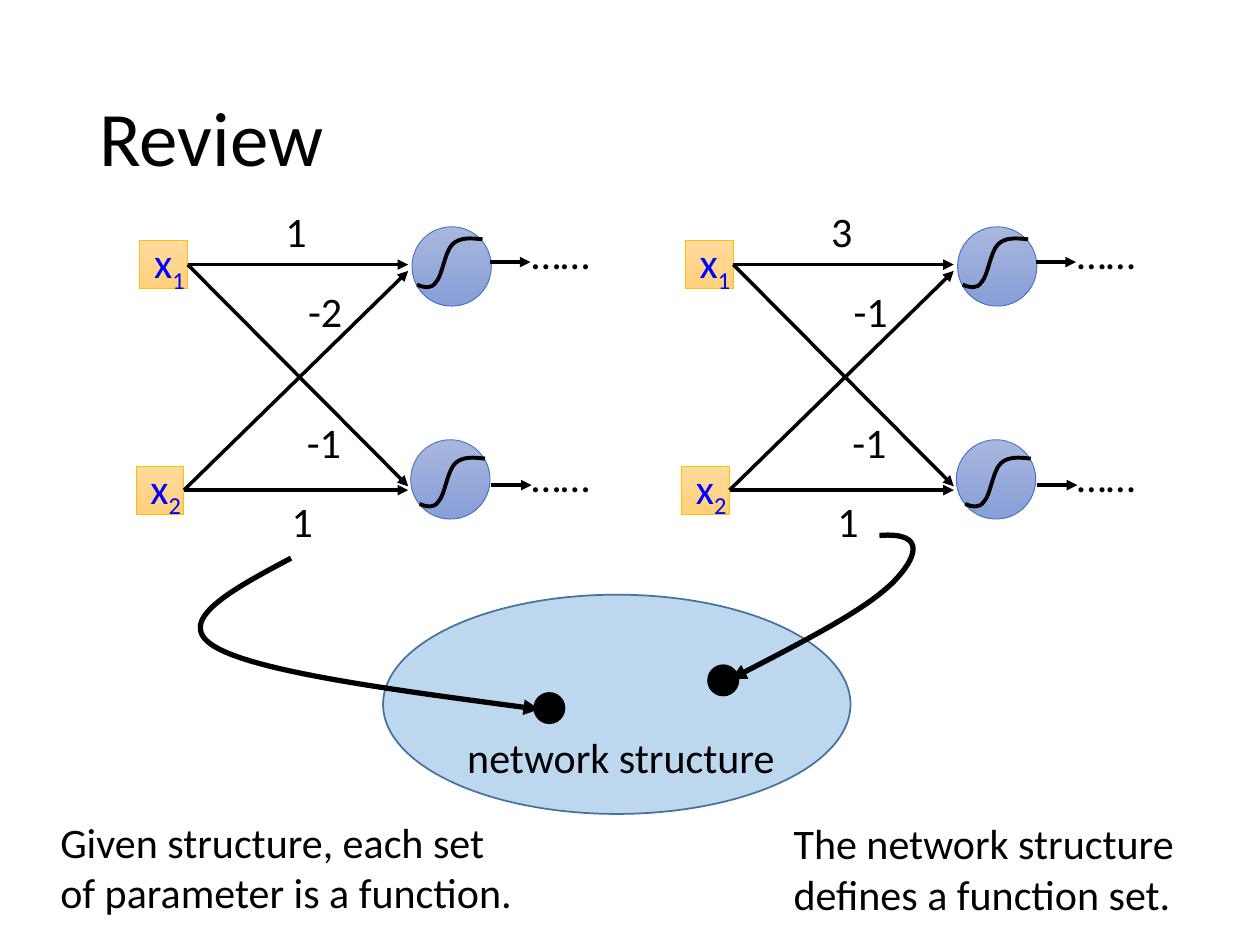
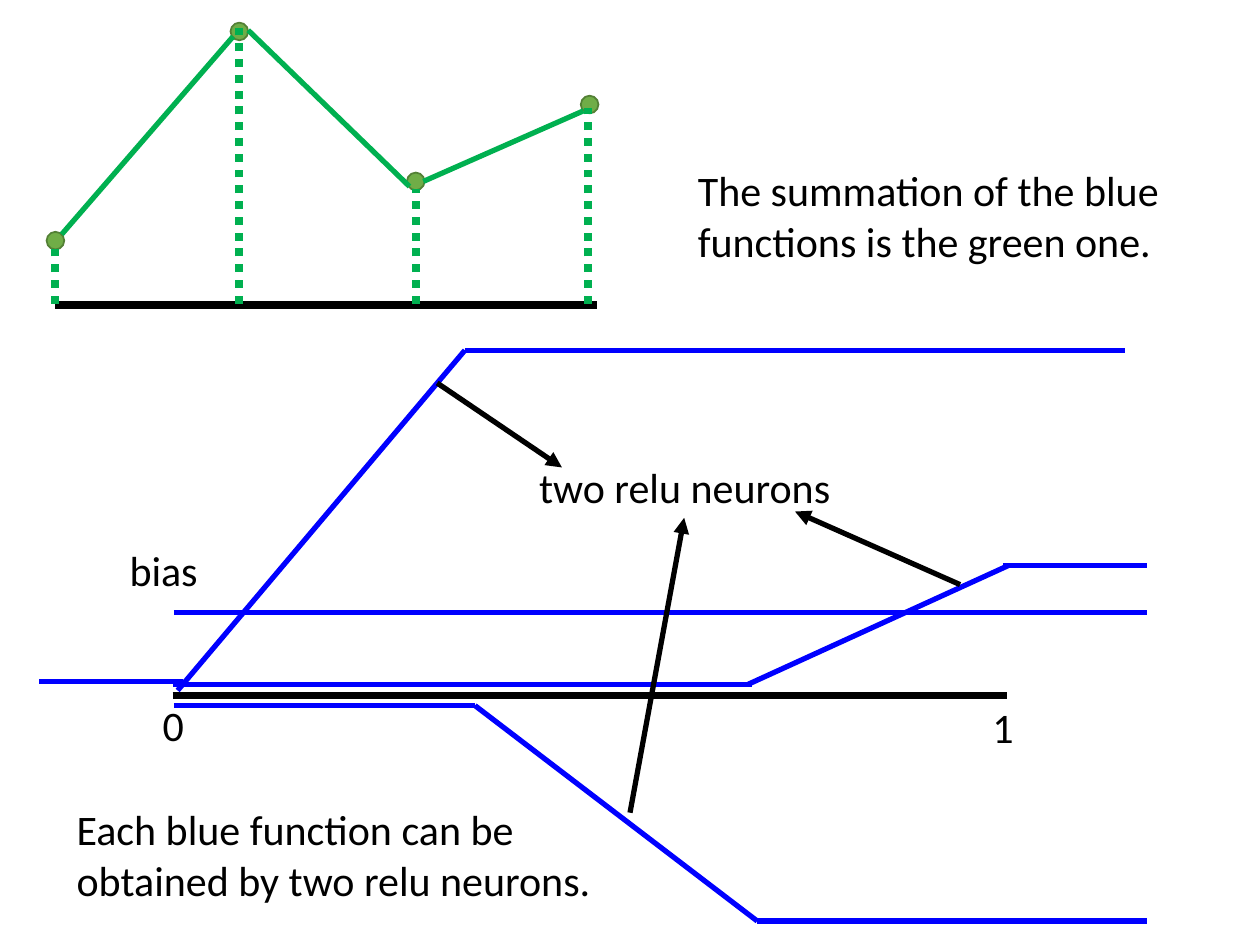
from pptx import Presentation
from pptx.dml.color import RGBColor
from pptx.enum.dml import MSO_LINE
from pptx.enum.shapes import MSO_CONNECTOR, MSO_SHAPE
from pptx.enum.text import MSO_ANCHOR, MSO_AUTO_SIZE, PP_ALIGN
from pptx.oxml.ns import qn
from pptx.util import Inches, Pt
from lxml.etree import SubElement

FONT = "Calibri"
BLACK = RGBColor(0x00, 0x00, 0x00)
BLUE = RGBColor(0x00, 0x00, 0xFF)
GREEN = RGBColor(0x00, 0xB0, 0x50)
DOT_FILL = RGBColor(0x70, 0xAD, 0x47)
DOT_LINE = RGBColor(0x53, 0x80, 0x35)
SET_FILL = RGBColor(0xBD, 0xD7, 0xEE)
SET_LINE = RGBColor(0x43, 0x73, 0x9E)
NEURON_FILL = (RGBColor(0xA8, 0xB7, 0xDF), RGBColor(0x88, 0x9E, 0xD7))
NEURON_LINE = RGBColor(0x44, 0x72, 0xC4)
INPUT_FILL = (RGBColor(0xFF, 0xDB, 0x9E), RGBColor(0xFF, 0xD0, 0x7C))
INPUT_LINE = RGBColor(0xFF, 0xC0, 0x00)
SIGMOID = [(0.52, 0.01), (0.43, 0), (0.34, -0.01), (0.28, 0.05), (0.22, 0.11),
           (0.2, 0.3), (0.15, 0.35), (0.11, 0.41), (0.05, 0.39), (0, 0.37)]


def add_text(shapes, box, text, size=24, color=BLACK, align=PP_ALIGN.LEFT, subscript=""):
    """Add a text box with one paragraph and an optional subscript."""
    shape = shapes.add_textbox(*map(Inches, box))
    text_frame = shape.text_frame
    text_frame.word_wrap = True
    text_frame.auto_size = MSO_AUTO_SIZE.SHAPE_TO_FIT_TEXT
    text_frame.text = text
    paragraph = text_frame.paragraphs[0]
    paragraph.alignment = align
    if subscript:
        run = paragraph.add_run()
        run.text = subscript
        run._r.get_or_add_rPr().set("baseline", "-25000")
    for run in paragraph.runs:
        run.font.name = FONT
        run.font.size = Pt(size)
        run.font.color.rgb = color
    return shape


def add_title(slide, text):
    """Add the slide title."""
    shape = add_text(slide.shapes, (0.69, 0.4, 8.62, 1.45), text, size=44)
    shape.text_frame.auto_size = MSO_AUTO_SIZE.NONE
    shape.text_frame.vertical_anchor = MSO_ANCHOR.MIDDLE
    shape.text_frame.paragraphs[0].line_spacing = 0.9


def add_filled(shapes, kind, box, fill, line_color, line_width=1):
    """Add a preset shape with a plain fill or a vertical gradient pair."""
    shape = shapes.add_shape(kind, *map(Inches, box))
    shape.shadow.inherit = False
    if isinstance(fill, RGBColor):
        shape.fill.solid()
        shape.fill.fore_color.rgb = fill
    else:
        shape.fill.gradient()
        shape.fill.gradient_angle = 270
        for stop, color in zip(shape.fill.gradient_stops, fill):
            stop.color.rgb = color
    shape.line.color.rgb = line_color
    shape.line.width = Pt(line_width)
    return shape


def style_line(line, color, width, arrow):
    """Set colour and width of a line, with an arrowhead if wanted."""
    line.color.rgb = color
    line.width = Pt(width)
    if arrow:
        SubElement(line._get_or_add_ln(), qn("a:tailEnd"), type="triangle")


def add_line(shapes, start, end, color=BLACK, width=3, arrow=False, dashed=False, source=None):
    """Add a straight connector, joined to the right side of a source shape if given."""
    connector = shapes.add_connector(MSO_CONNECTOR.STRAIGHT, *map(Inches, (*start, *end)))
    if source is not None:
        connector.begin_connect(source, 3)
    if dashed:
        connector.line.dash_style = MSO_LINE.ROUND_DOT
    style_line(connector.line, color, width, arrow)
    SubElement(connector._element.spPr, qn("a:effectLst"))


def add_curve(shapes, points, width, arrow=False):
    """Add an open curve from a start point and triples of cubic control points."""
    corners = [(Inches(x), Inches(y)) for x, y in points]
    builder = shapes.build_freeform(*corners[0])
    builder.add_line_segments(corners[1:], close=False)
    shape = builder.convert_to_shape()
    shape.shadow.inherit = False
    shape.fill.background()
    style_line(shape.line, BLACK, width, arrow)
    segments = list(shape._element.iter(qn("a:lnTo")))
    for first, second, third in zip(segments[::3], segments[1::3], segments[2::3]):
        for segment in (second, third):
            first.append(segment[0])
            segment.getparent().remove(segment)
        first.tag = qn("a:cubicBezTo")


def add_neuron(shapes, left, top, sigmoid_left, sigmoid_top):
    """Add a round neuron with its sigmoid curve."""
    add_filled(shapes, MSO_SHAPE.OVAL, (left, top, 0.63, 0.63), NEURON_FILL, NEURON_LINE, 0.5)
    add_curve(shapes, [(sigmoid_left + x, sigmoid_top + y) for x, y in SIGMOID], 2.25)


def add_network(slide, left, weights):
    """Add a two-input, two-neuron network with four weights."""
    shapes = slide.shapes.add_group_shape().shapes
    add_neuron(shapes, left + 2.19, 1.8, left + 2.23, 1.89)
    add_neuron(shapes, left + 2.18, 3.49, left + 2.25, 3.63)

    inputs = [("1", left + 0.03, 1.91, (2.1, 3.86)), ("2", left, 3.7, (3.89, 2.15))]
    for number, box_left, top, targets in inputs:
        box = add_filled(shapes, MSO_SHAPE.RECTANGLE, (box_left, top, 0.38, 0.38),
                         INPUT_FILL, INPUT_LINE, 0.5)
        for target in targets:
            add_line(shapes, (left + 0.42, top + 0.19), (left + 2.16, target),
                     width=2, arrow=True, source=box)
        add_text(shapes, (box_left - 0.03, top - 0.08, 0.53, 0.5), "x",
                 color=BLUE, align=PP_ALIGN.CENTER, subscript=number)

    centers = [(1.27, 1.58), (1.5, 2.22), (1.49, 3.26), (1.32, 3.88)]
    for weight, (center, top) in zip(weights, centers):
        add_text(shapes, (left + center - 0.39, top, 0.78, 0.5), weight, align=PP_ALIGN.CENTER)

    for start, y, text_top in [(left + 2.81, 2.08, 1.76), (left + 2.82, 3.85, 3.53)]:
        add_line(shapes, (start, y), (start + 0.32, y), width=2, arrow=True)
        add_text(shapes, (left + 3.04, text_top, 0.78, 0.5), "……")


def build_review(slide):
    """Build the slide on network structure as a function set."""
    shapes = slide.shapes
    add_filled(shapes, MSO_SHAPE.OVAL, (3.04, 4.72, 3.71, 1.74), SET_FILL, SET_LINE)
    add_title(slide, "Review")
    add_network(slide, 1.08, ("1", "-2", "-1", "1"))
    add_network(slide, 5.41, ("3", "-1", "-1", "1"))
    for left, top in [(4.24, 5.5), (5.62, 5.28)]:
        add_filled(shapes, MSO_SHAPE.OVAL, (left, top, 0.24, 0.24), BLACK, BLACK)
    add_curve(shapes, [(2.31, 4.43), (1.84, 4.68), (1.37, 4.93), (1.7, 5.13),
                       (2.03, 5.33), (3.15, 5.48), (4.28, 5.63)], 3, arrow=True)
    add_curve(shapes, [(6.98, 4.25), (7.37, 4.22), (7.27, 4.44), (7.08, 4.63),
                       (6.88, 4.82), (6.52, 5.02), (5.8, 5.39)], 3, arrow=True)
    add_text(shapes, (0.38, 6.43, 3.79, 0.91),
             "Given structure, each set of parameter is a function.")
    add_text(shapes, (6.2, 6.44, 3.79, 0.91), "The network structure defines a function set.")
    add_text(shapes, (3.61, 5.76, 2.75, 0.5), "network structure")


def add_green_function(slide):
    """Add the piecewise linear green function over its axis."""
    shapes = slide.shapes.add_group_shape().shapes
    add_line(shapes, (0.44, 2.42), (4.74, 2.42), width=4.5)
    for x, y in [(0.44, 1.91), (1.9, 0.25), (3.3, 1.44), (4.68, 0.83)]:
        add_filled(shapes, MSO_SHAPE.OVAL, (x - 0.07, y - 0.07, 0.14, 0.14), DOT_FILL, DOT_LINE)
    for start, end in [((0.49, 1.86), (1.85, 0.29)), ((3.25, 1.48), (1.97, 0.24)),
                       ((4.63, 0.88), (3.36, 1.44))]:
        add_line(shapes, start, end, GREEN)
    for x, top in [(0.44, 1.98), (1.9, 0.22), (3.3, 1.5), (4.67, 0.86)]:
        add_line(shapes, (x, 2.41), (x, top), GREEN, 4.5, dashed=True)


def add_unit_axis(slide):
    """Add the axis from 0 to 1."""
    shapes = slide.shapes.add_group_shape().shapes
    add_line(shapes, (1.37, 5.52), (7.99, 5.52), width=4.5)
    add_text(shapes, (1.09, 5.5, 0.57, 0.5), "0", align=PP_ALIGN.CENTER)
    add_text(shapes, (7.73, 5.52, 0.46, 0.5), "1", align=PP_ALIGN.CENTER)


def build_summation(slide):
    """Build the slide on summing blue functions into the green one."""
    shapes = slide.shapes
    add_green_function(slide)
    add_unit_axis(slide)
    blue_lines = [
        ((1.38, 4.86), (9.1, 4.86)),
        ((0.31, 5.41), (1.45, 5.41)), ((1.41, 5.48), (3.69, 2.78)), ((3.69, 2.78), (8.93, 2.78)),
        ((1.38, 5.6), (3.77, 5.6)), ((3.77, 5.6), (6.01, 7.31)), ((6.01, 7.31), (9.1, 7.31)),
        ((1.37, 5.43), (5.97, 5.43)), ((5.94, 5.43), (8, 4.49)), ((7.96, 4.49), (9.1, 4.49)),
    ]
    for start, end in blue_lines:
        add_line(shapes, start, end, BLUE)
    add_text(shapes, (5.44, 1.26, 3.93, 0.91),
             "The summation of the blue functions is the green one.")
    add_text(shapes, (0.51, 6.33, 4.56, 0.91),
             "Each blue function can be obtained by two relu neurons.")
    add_text(shapes, (0.93, 4.27, 1.04, 0.5), "bias")
    add_text(shapes, (3.97, 3.61, 2.93, 0.5), "two relu neurons", align=PP_ALIGN.CENTER)
    for start, end in [((3.47, 3.04), (4.46, 3.71)), ((7.62, 4.64), (6.31, 4.06)),
                       ((5, 6.45), (5.43, 4.11))]:
        add_line(shapes, start, end, arrow=True)


def main():
    """Build and save the presentation."""
    presentation = Presentation()
    presentation.slide_width = Inches(10)
    presentation.slide_height = Inches(7.5)
    blank = presentation.slide_layouts[6]
    for build in (build_review, build_summation):
        build(presentation.slides.add_slide(blank))
    presentation.save("out.pptx")


if __name__ == "__main__":
    main()
